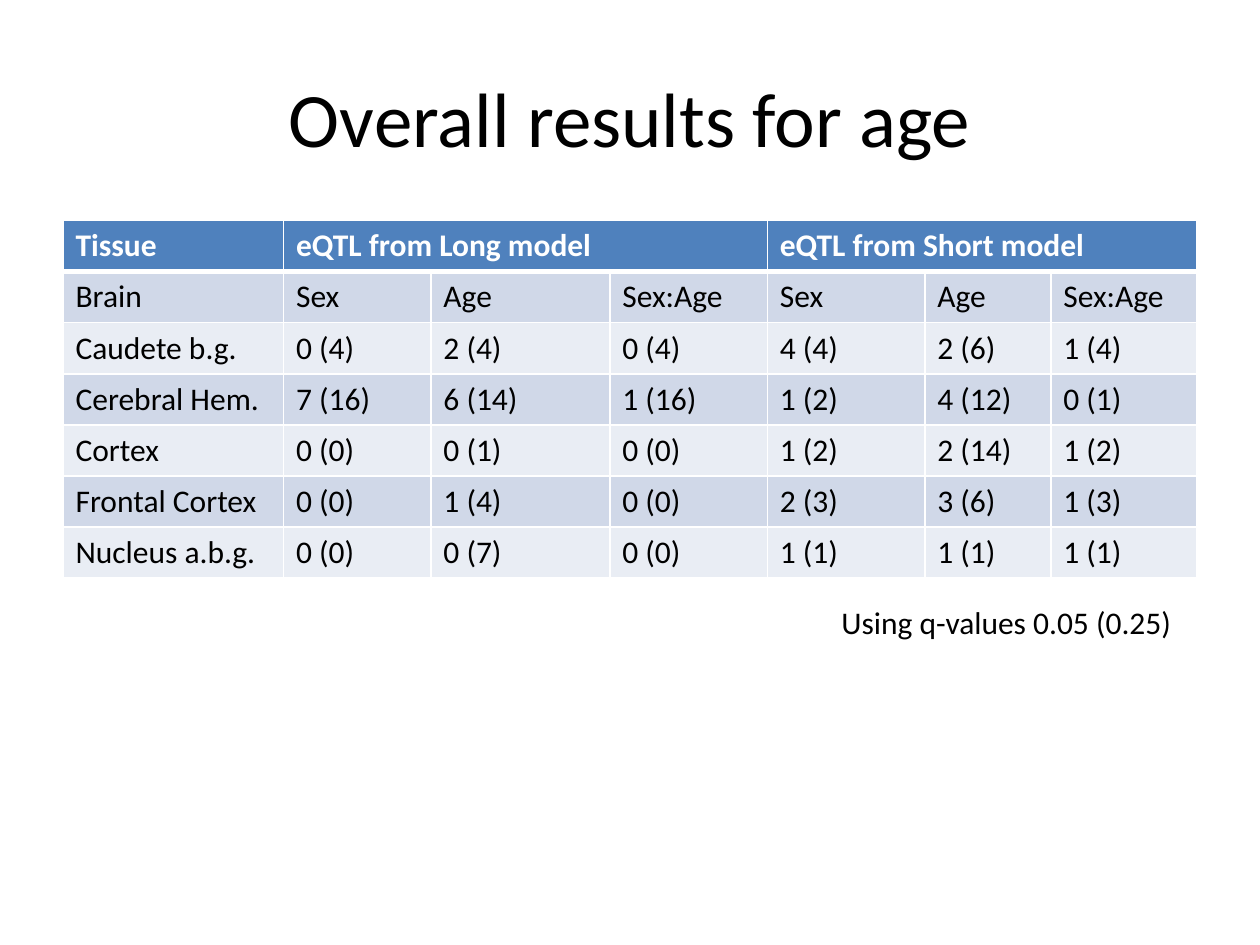
import pptx
import pptx.dml.color
import pptx.enum.text
import pptx.oxml
import pptx.oxml.ns
import pptx.util
from pptx.util import Inches

FONT = "Calibri"
BLACK, WHITE = "000000", "FFFFFF"
HEADER_FILL, BAND_FILLS = "4F81BD", ("D0D8E8", "E9EDF4")

COLUMN_WIDTHS = (1.75, 1.17, 1.42, 1.25, 1.25, 1, 1.16)
ROWS = (
    ("Tissue", "eQTL from Long model", "", "", "eQTL from Short model", "", ""),
    ("Brain", "Sex", "Age", "Sex:Age", "Sex", "Age", "Sex:Age"),
    ("Caudete b.g.", "0 (4)", "2 (4)", "0 (4)", "4 (4)", "2 (6)", "1 (4)"),
    ("Cerebral Hem.", "7 (16)", "6 (14)", "1 (16)", "1 (2)", "4 (12)", "0 (1)"),
    ("Cortex", "0 (0)", "0 (1)", "0 (0)", "1 (2)", "2 (14)", "1 (2)"),
    ("Frontal Cortex", "0 (0)", "1 (4)", "0 (0)", "2 (3)", "3 (6)", "1 (3)"),
    ("Nucleus a.b.g.", "0 (0)", "0 (7)", "0 (0)", "1 (1)", "1 (1)", "1 (1)"),
)


def color(value):
    return pptx.dml.color.RGBColor.from_string(value)


def write(frame, text, size, text_color=BLACK, bold=False):
    frame.text = text
    for span in frame.paragraphs[0].runs:
        span.font.name = FONT
        span.font.size = pptx.util.Pt(size)
        span.font.bold = bold
        span.font.color.rgb = color(text_color)


def set_borders(cell, top, bottom):
    properties = cell._tc.get_or_add_tcPr()
    for side, width in (("L", 1), ("R", 1), ("T", top), ("B", bottom)):
        properties.append(pptx.oxml.parse_xml(
            f'<a:ln{side} {pptx.oxml.ns.nsdecls("a")} w="{pptx.util.Pt(width)}">'
            f'<a:solidFill><a:srgbClr val="{WHITE}"/></a:solidFill></a:ln{side}>'))


def add_title(page, left, top, width, height):
    title = page.shapes.title
    title.left, title.top, title.width, title.height = left, top, width, height
    frame = title.text_frame
    write(frame, "Overall results for age", 44)
    frame.vertical_anchor = pptx.enum.text.MSO_ANCHOR.MIDDLE
    frame.paragraphs[0].alignment = pptx.enum.text.PP_ALIGN.CENTER


def add_results_table(page, left, top, width, height):
    table = page.shapes.add_table(
        len(ROWS), len(COLUMN_WIDTHS), left, top, width, height).table
    for column, column_width in zip(table.columns, COLUMN_WIDTHS):
        column.width = Inches(column_width)

    # Each model heading covers its three effect columns
    for first in (1, 4):
        table.cell(0, first).merge(table.cell(0, first + 2))

    for r, texts in enumerate(ROWS):
        header = r == 0
        fill = HEADER_FILL if header else BAND_FILLS[(r - 1) % 2]
        for c, text in enumerate(texts):
            cell = table.cell(r, c)
            # A thick rule separates the header from the body
            set_borders(cell, top=3 if r == 1 else 1, bottom=3 if header else 1)
            cell.fill.solid()
            cell.fill.fore_color.rgb = color(fill)
            write(cell.text_frame, text, 18, WHITE if header else BLACK, header)


def add_note(page, left, top, width, height):
    box = page.shapes.add_textbox(left, top, width, height)
    write(box.text_frame, "Using q-values 0.05 (0.25)", 18)
    box.text_frame.word_wrap = False
    box.text_frame.auto_size = pptx.enum.text.MSO_AUTO_SIZE.SHAPE_TO_FIT_TEXT


def main():
    deck = pptx.Presentation()
    deck.slide_width, deck.slide_height = Inches(10), Inches(7.5)
    page = deck.slides.add_slide(deck.slide_layouts[5])  # title only
    add_title(page, Inches(0.5), Inches(0.3), Inches(9), Inches(1.25))
    add_results_table(page, Inches(0.5), Inches(1.75), Inches(9), Inches(2.84))
    add_note(page, Inches(6.58), Inches(4.74), Inches(2.85), Inches(0.4))
    deck.save("out.pptx")


if __name__ == "__main__":
    main()
